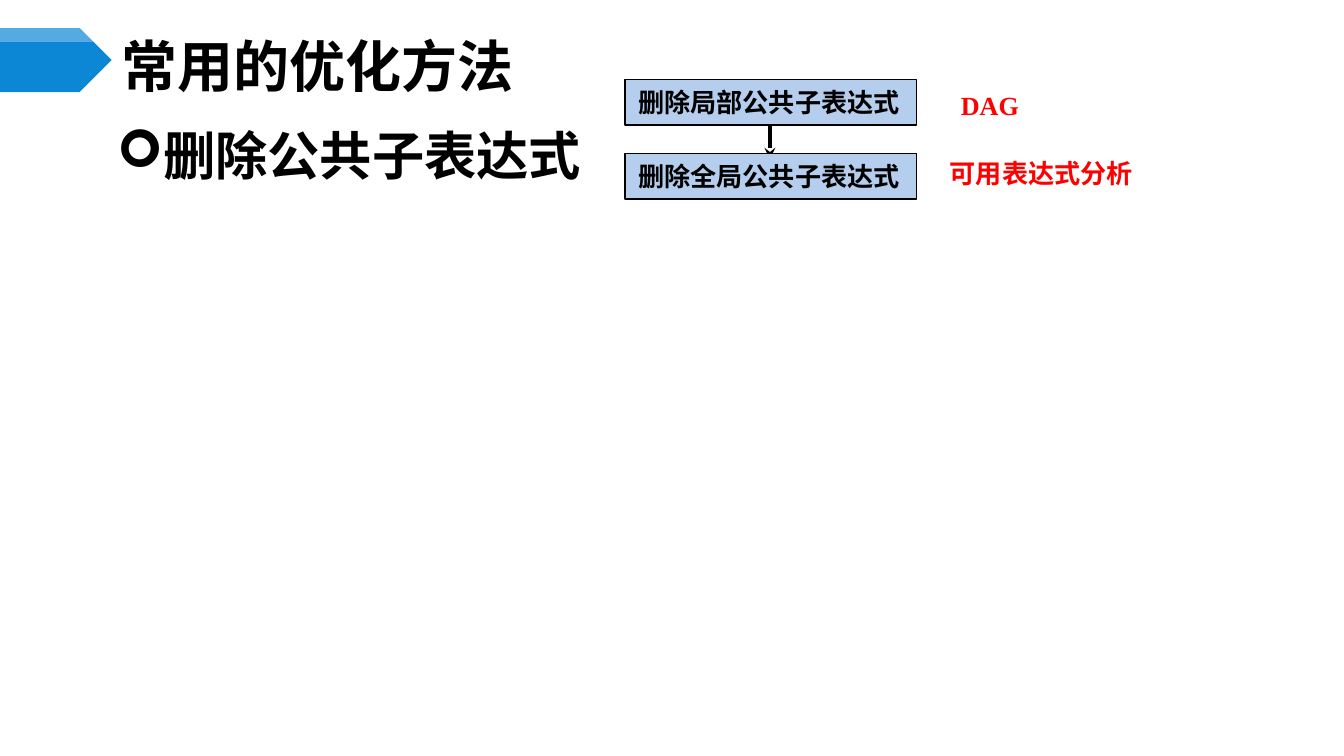
from lxml import etree
from pptx import Presentation, util as u
from pptx.dml.color import RGBColor
from pptx.enum import shapes, text
from pptx.oxml.ns import qn


def rgb(h):
    return RGBColor.from_string(h)


def add_run(p, txt, size, font, color):
    r = p.add_run()
    r.text = txt
    f = r.font
    f.size, f.name, f.bold = u.Pt(size), font, True
    f.color.rgb = rgb(color)
    etree.SubElement(r._r.get_or_add_rPr(), qn("a:ea"), typeface=SANS)


SANS, SERIF = "Noto Sans CJK SC", "Times New Roman"
prs = Presentation()
prs.slide_width, prs.slide_height = u.Cm(25.4), u.Cm(14.28)
s = prs.slides.add_slide(prs.slide_layouts[1])
title, body = s.placeholders

for sp, box, anchor in (
    (title, (2.11, 0.74, 22.02, 0.99), text.MSO_ANCHOR.MIDDLE),
    (body, (1.19, 2.36, 16.46, 8.97), text.MSO_ANCHOR.TOP),
):
    sp.left, sp.top, sp.width, sp.height = map(u.Cm, box)
    tf = sp.text_frame
    tf.auto_size = text.MSO_AUTO_SIZE.NONE
    tf.vertical_anchor = anchor
    tf.margin_left = tf.margin_right = u.Cm(0.18)
    tf.margin_top = tf.margin_bottom = u.Cm(0.1)
    tf.paragraphs[0].alignment = text.PP_ALIGN.LEFT

add_run(title.text_frame.paragraphs[0], "常用的优化方法", 30, SANS, "000000")

p = body.text_frame.paragraphs[0]
p.level = 1
p.space_before = u.Pt(0)
p.line_spacing = 0.9
pPr = p._p.get_or_add_pPr()
pPr.set("marL", str(u.Cm(1.6)))
pPr.set("indent", str(u.Cm(-0.76)))
etree.SubElement(pPr, qn("a:buFont"), typeface="Wingdings")
etree.SubElement(pPr, qn("a:buChar"), char="➢")
add_run(p, "删除公共子表达式", 28, SERIF, "000000")

plate = s.shapes.add_shape(
    shapes.MSO_SHAPE.PENTAGON, 0, u.Cm(0.53), u.Cm(2.11), u.Cm(1.21))
fb = s.shapes.build_freeform(0, u.Cm(0.53))
fb.add_line_segments([(u.Cm(x), u.Cm(y)) for x, y in
                      ((1.51, 0.53), (1.77, 0.79), (0, 0.79))])
band = fb.convert_to_shape()
for sp, color in ((plate, "0B87D6"), (band, "FFFFFF")):
    sp.shadow.inherit = False
    sp.fill.solid()
    sp.fill.fore_color.rgb = rgb(color)
    sp.line.fill.background()
clr = band._element.spPr.find(qn("a:solidFill"))[0]
etree.SubElement(clr, qn("a:alpha"), val="30000")

arrow = s.shapes.add_connector(
    shapes.MSO_CONNECTOR.STRAIGHT, u.Cm(14.55), u.Cm(2.29), u.Cm(14.55), u.Cm(3))
arrow.line.color.rgb = rgb("000000")
arrow.line.width = u.Pt(2)
etree.SubElement(arrow.line._get_or_add_ln(), qn("a:tailEnd"), type="stealth")
etree.SubElement(arrow._element.spPr, qn("a:effectLst"))

for txt, x, y, w, boxed in (
    ("删除局部公共子表达式", 11.81, 1.5, 5.51, True),
    ("DAG", 17.91, 1.55, 1.63, False),
    ("删除全局公共子表达式", 11.81, 2.9, 5.51, True),
    ("可用表达式分析", 17.7, 2.84, 4.01, False),
):
    box = u.Cm(x), u.Cm(y), u.Cm(w), u.Cm(0.86)
    if boxed:
        sp = s.shapes.add_shape(shapes.MSO_SHAPE.RECTANGLE, *box)
        sp.shadow.inherit = False
        sp.fill.solid()
        sp.fill.fore_color.rgb = rgb("B5CEED")
        sp.line.color.rgb = rgb("000000")
        sp.line.width = u.Pt(0.75)
    else:
        sp = s.shapes.add_textbox(*box)
    tf = sp.text_frame
    tf.word_wrap = False
    tf.auto_size = text.MSO_AUTO_SIZE.NONE
    tf.vertical_anchor = text.MSO_ANCHOR.MIDDLE
    p = tf.paragraphs[0]
    p.alignment = text.PP_ALIGN.LEFT
    add_run(p, txt, 14, SANS if boxed else SERIF, "000000" if boxed else "FF0000")

prs.save("out.pptx")
